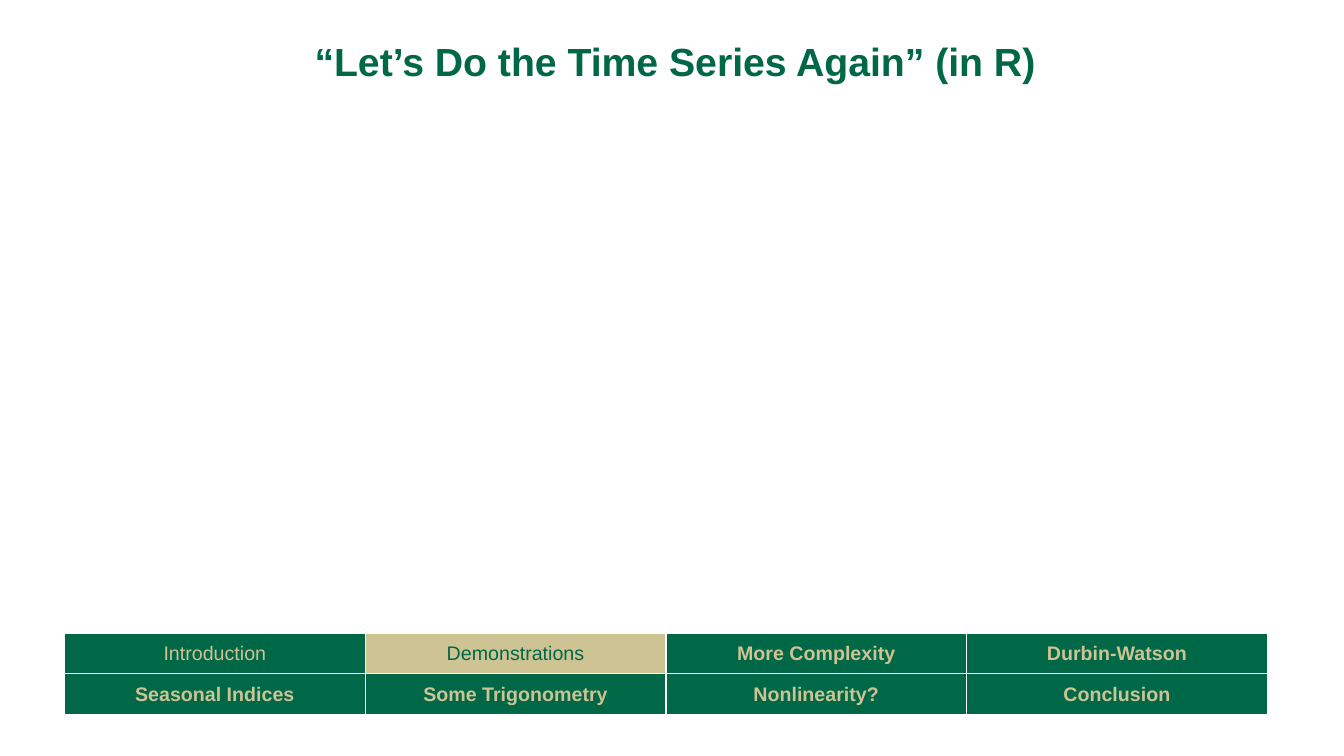
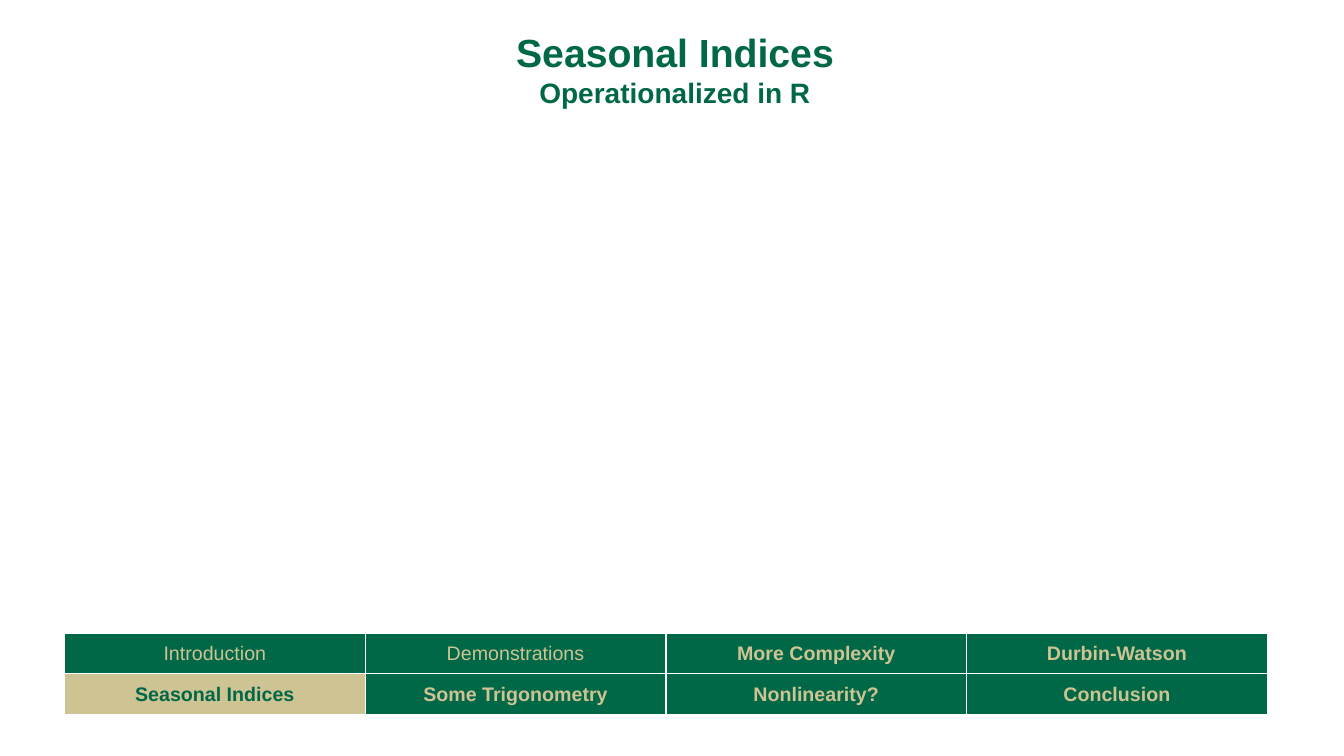
from lxml.etree import SubElement
from pptx import Presentation
from pptx.dml.color import RGBColor
from pptx.enum.text import MSO_ANCHOR, PP_ALIGN
from pptx.oxml.ns import qn
from pptx.util import Inches, Pt

COLORS = {"green": "006747", "gold": "CEC393", "white": "FFFFFF"}
FONT = "Arial"
SECTIONS = [
    ["Introduction", "Demonstrations", "More Complexity", "Durbin-Watson"],
    ["Seasonal Indices", "Some Trigonometry", "Nonlinearity?", "Conclusion"],
]
LIGHT_SECTIONS = {"Introduction", "Demonstrations"}
CONTENT_WIDTH = Inches(11.93)


def style_span(span, size, color, bold):
    """Apply the deck font to one run."""
    span.font.name = FONT
    span.font.size = Pt(size)
    span.font.bold = bold
    span.font.color.rgb = RGBColor.from_string(COLORS[color])


def add_title(page, top, lines):
    """Add a centred title whose second line, if any, is smaller."""
    box = page.shapes.add_textbox(Inches(0.73), Inches(top), CONTENT_WIDTH, Inches(0.73))
    frame = box.text_frame
    frame.word_wrap = True
    frame.vertical_anchor = MSO_ANCHOR.MIDDLE
    para = frame.paragraphs[0]
    para.text = "\v".join(lines)
    para.alignment = PP_ALIGN.CENTER
    for span, size in zip(para.runs, (28, 20)):
        style_span(span, size, "green", True)


def add_borders(cell):
    """Draw a thin white line on every side of a cell."""
    properties = cell._tc.get_or_add_tcPr()
    for side in ("a:lnL", "a:lnR", "a:lnT", "a:lnB"):
        line = SubElement(properties, qn(side), w=str(Pt(1)))
        fill = SubElement(line, qn("a:solidFill"))
        SubElement(fill, qn("a:srgbClr"), val=COLORS["white"])


def fill_cell(cell, section, active):
    """Write one section name, with colours swapped when it is active."""
    background, foreground = ("gold", "green") if active else ("green", "gold")
    add_borders(cell)
    cell.fill.solid()
    cell.fill.fore_color.rgb = RGBColor.from_string(COLORS[background])
    cell.vertical_anchor = MSO_ANCHOR.MIDDLE
    para = cell.text_frame.paragraphs[0]
    para.text = section
    para.alignment = PP_ALIGN.CENTER
    style_span(para.runs[0], 14, foreground, section not in LIGHT_SECTIONS)


def add_navigation(page, current):
    """Add the section table at the foot of a slide."""
    frame = page.shapes.add_table(len(SECTIONS), len(SECTIONS[0]), Inches(0.64),
                                  Inches(6.28), CONTENT_WIDTH, Inches(0.81))
    table = frame.table
    table.first_row = False
    table.horz_banding = False
    for row, names in enumerate(SECTIONS):
        for column, section in enumerate(names):
            fill_cell(table.cell(row, column), section, section == current)


def add_page(deck, top, lines, current):
    """Add one slide with its title and section table."""
    page = deck.slides.add_slide(deck.slide_layouts[6])
    add_title(page, top, lines)
    add_navigation(page, current)


def main():
    """Build and save the deck."""
    deck = Presentation()
    deck.slide_width = Inches(13.33)
    deck.slide_height = Inches(7.5)
    add_page(deck, 0.24, ["“Let’s Do the Time Series Again” (in R)"], "Demonstrations")
    add_page(deck, 0.32, ["Seasonal Indices", "Operationalized in R"], "Seasonal Indices")
    deck.save("out.pptx")


main()
